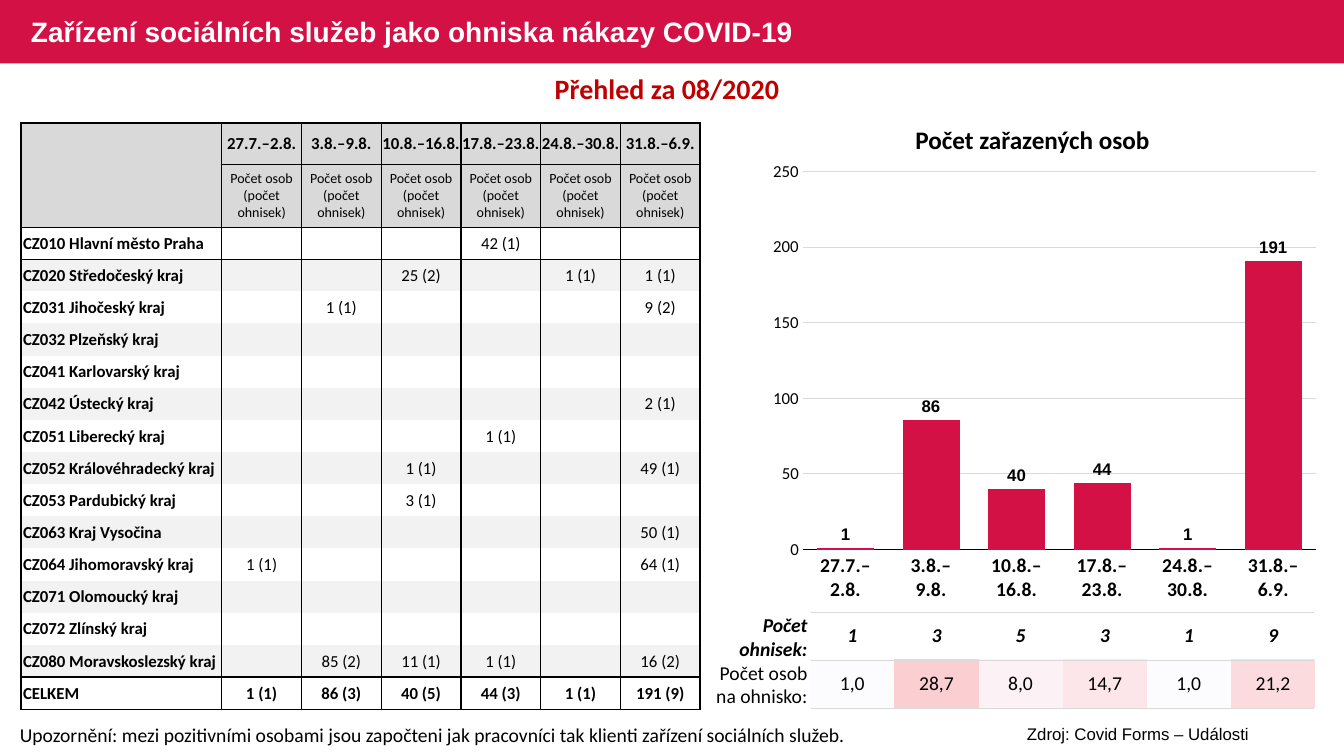
from lxml import etree
from pptx import Presentation
from pptx.chart.data import CategoryChartData
from pptx.dml.color import RGBColor
from pptx.enum.chart import XL_CHART_TYPE, XL_LABEL_POSITION, XL_TICK_MARK
from pptx.enum.shapes import MSO_SHAPE
from pptx.enum.text import MSO_ANCHOR, PP_ALIGN
from pptx.oxml.ns import qn
from pptx.util import Cm, Pt

LEFT, MID, RIGHT = PP_ALIGN.LEFT, PP_ALIGN.CENTER, PP_ALIGN.RIGHT
TOP, CENTRE = MSO_ANCHOR.TOP, MSO_ANCHOR.MIDDLE
COLUMN = XL_CHART_TYPE.COLUMN_CLUSTERED
OUT_END = XL_LABEL_POSITION.OUTSIDE_END
NO_TICK = XL_TICK_MARK.NONE
RECT = MSO_SHAPE.RECTANGLE
PLAIN = "{2D5ABB26-0587-4C30-8999-92F81FD0307C}"

HUES = {
    "red": "D31145", "dark": "C00000", "black": "000000", "white": "FFFFFF",
    "head": "D9D9D9", "band": "F2F2F2",
}
WEEKS = ["27.7.–2.8.", "3.8.–9.8.", "10.8.–16.8.",
         "17.8.–23.8.", "24.8.–30.8.", "31.8.–6.9."]
PEOPLE = [1, 86, 40, 44, 1, 191]
REGIONS = [
    ("CZ010 Hlavní město Praha", {4: "42 (1)"}),
    ("CZ020 Středočeský kraj", {3: "25 (2)", 5: "1 (1)", 6: "1 (1)"}),
    ("CZ031 Jihočeský kraj", {2: "1 (1)", 6: "9 (2)"}),
    ("CZ032 Plzeňský kraj", {}),
    ("CZ041 Karlovarský kraj", {}),
    ("CZ042 Ústecký kraj", {6: "2 (1)"}),
    ("CZ051 Liberecký kraj", {4: "1 (1)"}),
    ("CZ052 Královéhradecký kraj", {3: "1 (1)", 6: "49 (1)"}),
    ("CZ053 Pardubický kraj", {3: "3 (1)"}),
    ("CZ063 Kraj Vysočina", {6: "50 (1)"}),
    ("CZ064 Jihomoravský kraj", {1: "1 (1)", 6: "64 (1)"}),
    ("CZ071 Olomoucký kraj", {}),
    ("CZ072 Zlínský kraj", {}),
    ("CZ080 Moravskoslezský kraj",
     {2: "85 (2)", 3: "11 (1)", 4: "1 (1)", 6: "16 (2)"}),
]
TOTALS = ["1 (1)", "86 (3)", "40 (5)", "44 (3)", "1 (1)", "191 (9)"]
COUNTS = ["1", "3", "5", "3", "1", "9"]
RATES = [("1,0", "FCFCFF"), ("28,7", "FBCFD1"), ("8,0", "FCF1F4"),
         ("14,7", "FCE6E9"), ("1,0", "FCFCFF"), ("21,2", "FCDBDE")]


def rgb(hue):
    """Return the colour for a name in HUES or a hex string."""
    return RGBColor.from_string(HUES.get(hue, hue))


def style(font, size, hue="black", face="Calibri", bold=False, slant=False):
    """Format a font."""
    font.size, font.name, font.bold, font.italic = Pt(size), face, bold, slant
    font.color.rgb = rgb(hue)


def write(frame, text, align=LEFT, gap=None, **look):
    """Put one formatted paragraph into a text frame."""
    para = frame.paragraphs[0]
    para.alignment = align
    if gap:
        para.line_spacing = gap
    run = para.add_run()
    run.text = text
    style(run.font, **look)


def label(slide, text, left, top, width, height, anchor=TOP, **look):
    """Add a text box."""
    box = slide.shapes.add_textbox(Cm(left), Cm(top), Cm(width), Cm(height))
    box.text_frame.word_wrap = True
    box.text_frame.vertical_anchor = anchor
    write(box.text_frame, text, **look)


def bar(slide):
    """Add the red band behind the title."""
    band = slide.shapes.add_shape(RECT, 0, 0, Cm(33.87), Cm(1.6))
    band.shadow.inherit = False
    band.fill.solid()
    band.fill.fore_color.rgb = rgb("red")
    band.line.fill.background()


def grid(slide, left, top, cols, rows):
    """Add a table without any built-in styling."""
    table = slide.shapes.add_table(
        len(rows), len(cols), Cm(left), Cm(top), Cm(sum(cols)), Cm(sum(rows))).table
    table.first_row = table.horz_banding = False
    table._tbl.tblPr.find(qn("a:tableStyleId")).text = PLAIN
    for col, width in zip(table.columns, cols):
        col.width = Cm(width)
    for row, height in zip(table.rows, rows):
        row.height = Cm(height)
    return table


def edge(cell, sides, hue="black", width=1):
    """Draw cell borders on sides given in the order L, R, T, B."""
    for side in sides:
        line = etree.SubElement(
            cell._tc.get_or_add_tcPr(), qn("a:ln" + side), w=str(Pt(width)))
        fill = etree.SubElement(line, qn("a:solidFill"))
        etree.SubElement(fill, qn("a:srgbClr"), val=HUES[hue])


def fill(cell, text="", hue=None, pad=(0.02, 0.02), **look):
    """Set a cell's margins, fill and text."""
    cell.margin_left, cell.margin_right = Cm(pad[0]), Cm(pad[1])
    cell.margin_top, cell.margin_bottom = Cm(0.02), 0
    cell.vertical_anchor = CENTRE
    if hue:
        cell.fill.solid()
        cell.fill.fore_color.rgb = rgb(hue)
    if text:
        write(cell.text_frame, text, **look)


def regions(slide):
    """Add the table of regions by week."""
    body = [[name] + [vals.get(c, "") for c in range(1, 7)]
            for name, vals in REGIONS]
    data = [[""] + WEEKS, [""] + ["Počet osob (počet ohnisek)"] * 6,
            *body, ["CELKEM"] + TOTALS]
    last = len(data) - 1
    table = grid(slide, 0.53, 3.1, [5.06] + [2.01] * 6, [1.04, 1.58] + [0.81] * 15)
    for r, row in enumerate(data):
        for c, text in enumerate(row):
            cell = table.cell(r, c)
            edge(cell, "LR")
            if r in (0, last) or (r == 1 and c):
                edge(cell, "T")
            elif r == 2:
                edge(cell, "T", width=0.5)
            if r == 1:
                edge(cell, "B", width=0.5)
            elif r >= last - 1 or (r == 0 and c):
                edge(cell, "B")
            hue = "head" if r < 2 else "band" if r % 2 and r < last else None
            fill(cell, text, hue, pad=(0.02, 0.02) if c else (0.05, 0.05),
                 align=MID if c else LEFT, size=10 if r == 1 else 12,
                 bold=r in (0, last) or c == 0)


def rates(slide):
    """Add the table of outbreaks and people per outbreak."""
    table = grid(slide, 20.42, 15.39, [2.12] * 6, [1.22] * 2)
    for c, (count, (rate, hue)) in enumerate(zip(COUNTS, RATES)):
        fill(table.cell(0, c), count, align=MID, size=14, bold=True, slant=True)
        fill(table.cell(1, c), rate, hue, align=MID, size=14)


def heads(slide):
    """Add the row labels and rules around the rates."""
    table = grid(slide, 17.88, 15.44, [2.57] + [1.81] * 7, [1.18] * 2)
    for r, (text, bold) in enumerate(
            [("Počet ohnisek:", True), ("Počet osob na ohnisko:", False)]):
        fill(table.cell(r, 0), text, pad=(0.02, 0.1), align=RIGHT,
             size=14, bold=bold, slant=bold)
        for c in range(1, 8):
            edge(table.cell(r, c), "TB", "head")
            fill(table.cell(r, c))


def chart(slide):
    """Add the column chart of people by week."""
    data = CategoryChartData()
    data.categories = [week.replace("–", "–\n") for week in WEEKS]
    data.add_series("Počet osob", PEOPLE)
    plot = slide.shapes.add_chart(
        COLUMN, Cm(19.2), Cm(3.84), Cm(14.25), Cm(11.56), data).chart
    plot.has_legend = plot.has_title = False
    style(plot.font, 14, face="Arial", bold=True)
    cats, vals = plot.category_axis, plot.value_axis
    for axis in (cats, vals):
        axis.major_tick_mark = axis.minor_tick_mark = NO_TICK
    style(cats.tick_labels.font, 14, bold=True)
    cats.format.line.color.rgb = rgb("black")
    cats.format.line.width = Pt(0.75)
    style(vals.tick_labels.font, 12)
    vals.format.line.fill.background()
    vals.minimum_scale, vals.maximum_scale, vals.major_unit = 0, 250, 50
    rule = vals.major_gridlines.format.line
    rule.color.rgb = rgb("head")
    rule.width = Pt(0.75)
    bars = plot.plots[0]
    bars.gap_width, bars.vary_by_categories = 50, False
    bars.has_data_labels = True
    tags = bars.data_labels
    tags.show_value, tags.position = True, OUT_END
    style(tags.font, 12, face="Arial", bold=True)
    paint = bars.series[0].format.fill
    paint.solid()
    paint.fore_color.rgb = rgb("red")


def main():
    """Build the slide and save it."""
    deck = Presentation()
    deck.slide_width, deck.slide_height = Cm(33.87), Cm(19.05)
    slide = deck.slides.add_slide(deck.slide_layouts[6])
    bar(slide)
    rates(slide)
    label(slide, "Zdroj: Covid Forms – Události", 23.75, 18.1, 9.86, 0.77,
          align=MID, size=12, face="Arial")
    regions(slide)
    label(slide, "Upozornění: mezi pozitivními osobami jsou započteni jak "
          "pracovníci tak klienti zařízení sociálních služeb.",
          0.25, 18.08, 21.64, 0.86, size=14)
    chart(slide)
    label(slide, "Počet zařazených osob", 19.2, 3.02, 13.64, 1.02,
          align=MID, size=18, bold=True)
    heads(slide)
    label(slide, "Zařízení sociálních služeb jako ohniska nákazy COVID-19",
          0.53, 0.05, 20.65, 1.6, anchor=CENTRE, gap=0.9, size=20,
          hue="white", face="Arial", bold=True)
    label(slide, "Přehled za 08/2020", 0.53, 1.68, 32.56, 1.12,
          align=MID, size=20, hue="dark", bold=True)
    deck.save("out.pptx")


if __name__ == "__main__":
    main()
